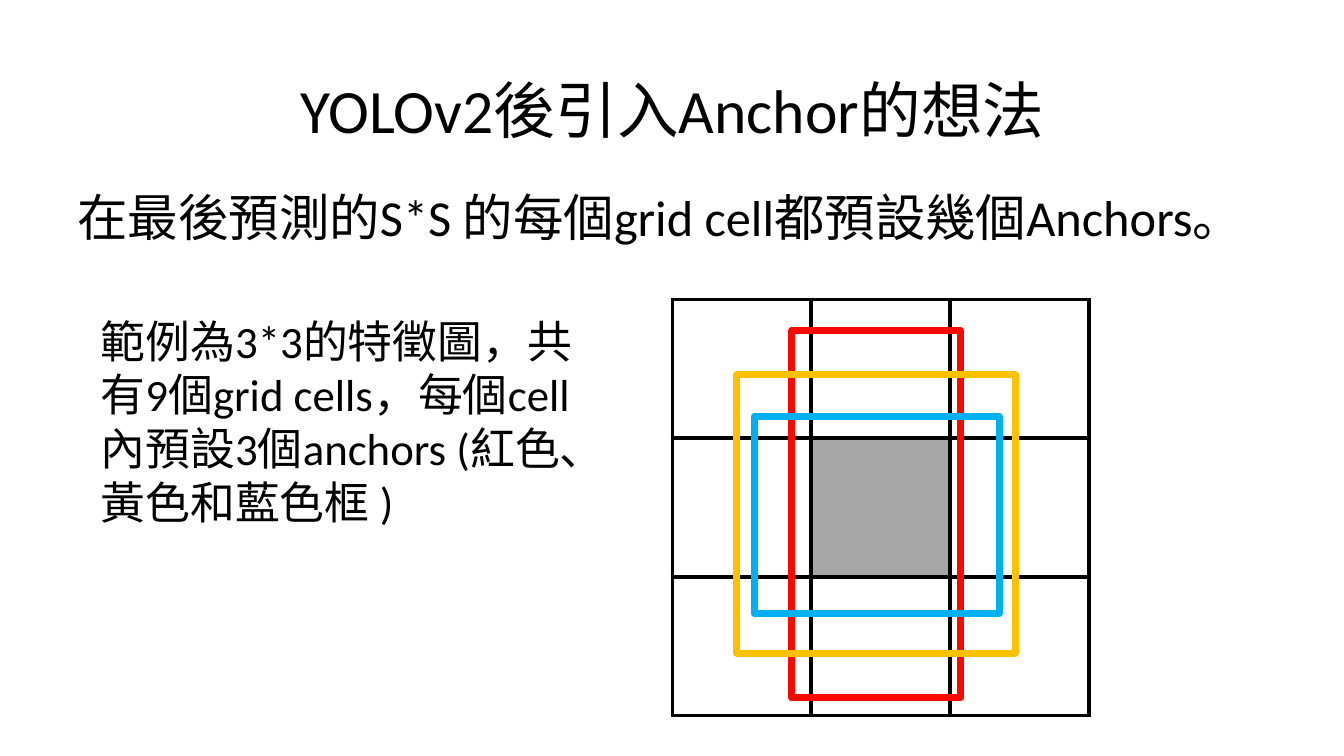
"""Build the slide on anchors in YOLOv2."""
from lxml.etree import SubElement
from pptx import Presentation
from pptx.dml.color import RGBColor
from pptx.enum.shapes import MSO_SHAPE
from pptx.enum.text import MSO_ANCHOR, PP_ALIGN
from pptx.oxml import parse_xml
from pptx.oxml.ns import nsdecls, qn
from pptx.util import Inches, Pt

FONT = "Calibri"
BLACK = "000000"
TITLE = "YOLOv2後引入Anchor的想法"
TEXTS = [
    ("在最後預測的S*S 的每個grid cell都預設幾個Anchors。", 36, (0.67, 1.8, 11.76, 0.71)),
    ("範例為3*3的特徵圖，共有9個grid cells，每個cell內預設3個anchors (紅色、黃色和藍色框 )",
     32, (0.9, 3.06, 5.24, 2.26)),
]
GRID_SIZE = 3
GRID_LEFT, GRID_TOP, GRID_SIDE = 6.67, 2.97, 4.13
CENTER_CELL = (1, 1)
CENTER_FILL = "A6A6A6"
ANCHORS = [
    ("F70A00", (7.85, 3.28, 1.68, 3.64)),
    ("00B0F0", (7.48, 4.13, 2.43, 1.96)),
    ("FFC000", (7.31, 3.72, 2.76, 2.76)),
]


def color(value):
    return RGBColor.from_string(value)


def inches(values):
    return [Inches(value) for value in values]


def add_text(para, text, size):
    span = para.add_run()
    span.text = text
    span.font.size = Pt(size)
    span.font.name = FONT
    span.font.color.rgb = color(BLACK)


def add_borders(cell):
    properties = cell._tc.get_or_add_tcPr()
    for index, side in enumerate(("lnL", "lnR", "lnT", "lnB")):
        border = parse_xml(f'<a:{side} {nsdecls("a")} w="{Pt(3)}"><a:solidFill>'
                           f'<a:srgbClr val="{BLACK}"/></a:solidFill></a:{side}>')
        properties.insert(index, border)


def add_title(page):
    title = page.shapes.title
    title.left, title.top, title.width, title.height = inches((0.92, 0.4, 11.5, 1.45))
    title.text_frame.vertical_anchor = MSO_ANCHOR.MIDDLE
    para = title.text_frame.paragraphs[0]
    para.alignment = PP_ALIGN.CENTER
    para.line_spacing = 0.9
    add_text(para, TITLE, 44)


def add_grid(page):
    side = Inches(GRID_SIDE)
    frame = page.shapes.add_table(GRID_SIZE, GRID_SIZE, Inches(GRID_LEFT),
                                  Inches(GRID_TOP), side, side)
    grid = frame.table
    grid.first_row = grid.horz_banding = False
    for row in range(GRID_SIZE):
        for column in range(GRID_SIZE):
            cell = grid.cell(row, column)
            if (row, column) == CENTER_CELL:
                cell.fill.solid()
                cell.fill.fore_color.rgb = color(CENTER_FILL)
            else:
                cell.fill.background()
            add_borders(cell)


def add_anchor(page, line_color, place):
    anchor = page.shapes.add_shape(MSO_SHAPE.RECTANGLE, *inches(place))
    anchor.shadow.inherit = False
    anchor.fill.background()
    anchor.line.color.rgb = color(line_color)
    anchor.line.width = Pt(5)
    SubElement(anchor.line._get_or_add_ln(), qn("a:round"))


def main():
    deck = Presentation()
    deck.slide_width, deck.slide_height = inches((13.33, 7.5))
    page = deck.slides.add_slide(deck.slide_layouts[5])
    add_title(page)
    add_grid(page)
    for line_color, place in ANCHORS:
        add_anchor(page, line_color, place)
    for text, size, place in TEXTS:
        box = page.shapes.add_textbox(*inches(place))
        box.text_frame.word_wrap = True
        add_text(box.text_frame.paragraphs[0], text, size)
    deck.save("out.pptx")


if __name__ == "__main__":
    main()
